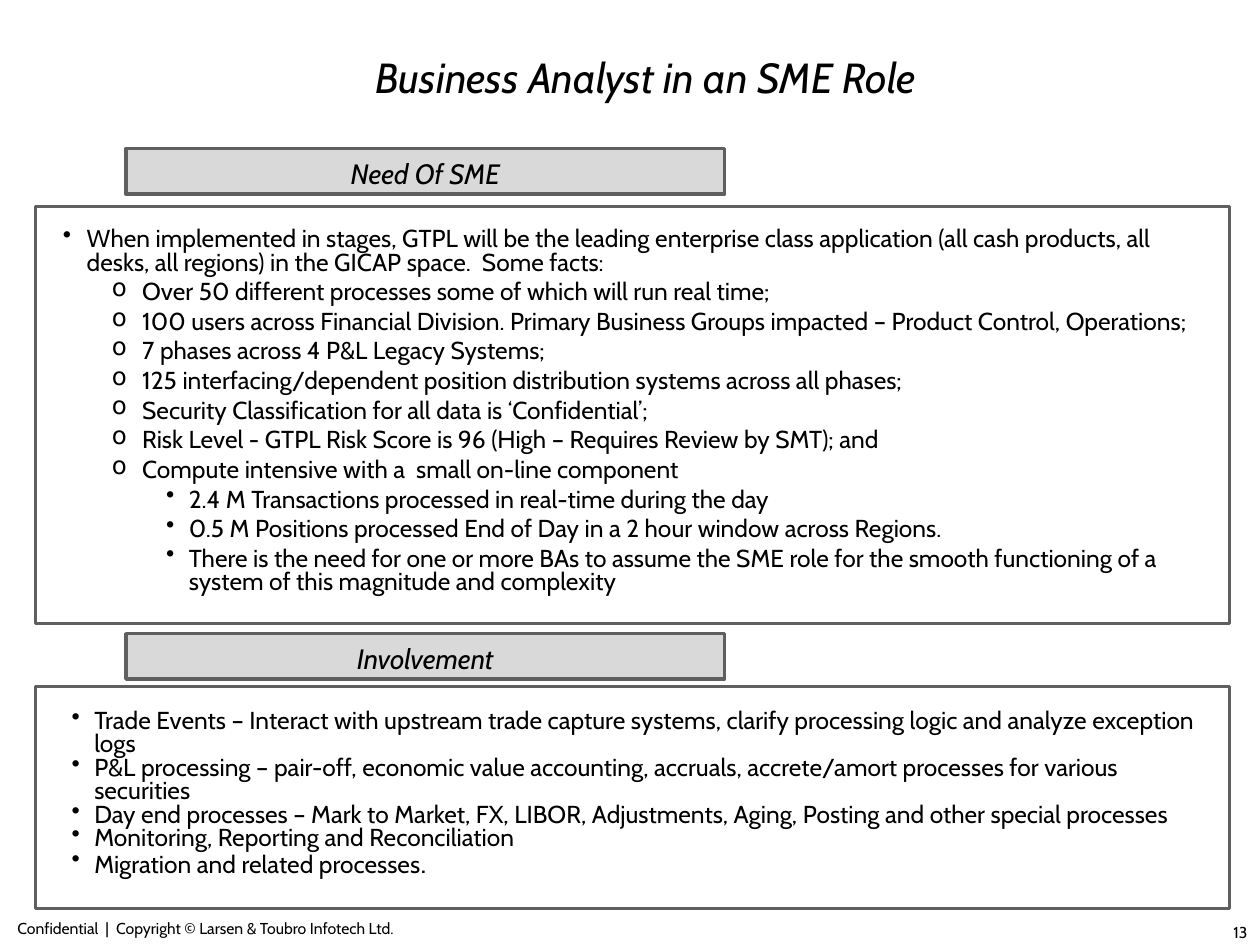
from dataclasses import dataclass

from lxml import etree
from pptx import Presentation
from pptx import util as u
from pptx.dml.color import RGBColor
from pptx.enum import shapes, text
from pptx.oxml.ns import qn

PX = 9144  # 100 px to the inch
FONT = "Cabin"
BLACK, GREY, LIGHT_GREY = "000000", "5F5F5F", "D9D9D9"


@dataclass(frozen=True)
class Box:
    left: int
    top: int
    width: int
    height: int


@dataclass(frozen=True)
class Bullet:
    level: int
    margin: int
    hanging: int
    symbol: str = "•"


@dataclass(frozen=True)
class Section:
    heading: str
    heading_box: Box
    body_box: Box
    space_before: float
    items: list[tuple[Bullet, str]]


LEAD = Bullet(1, 31, 19)
FACT = Bullet(3, 75, 24, "o")
DETAIL = Bullet(4, 112, 18)
TASK = Bullet(2, 37, 18)

FACTS = [
    "Over 50 different processes some of which will run real time;",
    "100 users across Financial Division. Primary Business Groups impacted – Product Control, Operations;",
    "7 phases across 4 P&L Legacy Systems;",
    "125 interfacing/dependent position distribution systems across all phases;",
    "Security Classification for all data is ‘Confidential’;",
    "Risk Level - GTPL Risk Score is 96 (High – Requires Review by SMT); and",
    "Compute intensive with a  small on-line component",
]
DETAILS = [
    "2.4 M Transactions processed in real-time during the day",
    "0.5 M Positions processed End of Day in a 2 hour window across Regions.",
    "There is the need for one or more BAs to assume the SME role for the smooth "
    "functioning of a system of this magnitude and complexity",
]
TASKS = [
    "Trade Events – Interact with upstream trade capture systems, clarify processing "
    "logic and analyze exception logs",
    "P&L processing – pair-off, economic value accounting, accruals, accrete/amort "
    "processes for various securities",
    "Day end processes – Mark to Market, FX, LIBOR, Adjustments, Aging, Posting and "
    "other special processes",
    "Monitoring, Reporting and Reconciliation",
    "Migration and related processes",
]
SECTIONS = [
    Section(
        "Need Of SME", Box(100, 118, 475, 36), Box(28, 164, 948, 331), 3.5,
        [(LEAD, "When implemented in stages, GTPL will be the leading enterprise class "
                "application (all cash products, all desks, all regions) in the GICAP "
                "space.  Some facts:")]
        + [(FACT, fact) for fact in FACTS]
        + [(DETAIL, detail) for detail in DETAILS],
    ),
    Section(
        "Involvement", Box(100, 503, 475, 36), Box(28, 545, 948, 176), 0,
        [(TASK, task) for task in TASKS],
    ),
]


def color(value: str) -> RGBColor:
    return RGBColor.from_string(value)


def place(box: Box) -> tuple[int, int, int, int]:
    return box.left * PX, box.top * PX, box.width * PX, box.height * PX


def style(run, size: float, italic: bool = False) -> None:
    run.font.name = FONT
    run.font.size = u.Pt(size)
    run.font.italic = italic
    run.font.color.rgb = color(BLACK)


def set_text(shape, words: str, size: float, align, italic: bool = False):
    shape.text_frame.word_wrap = True
    paragraph = shape.text_frame.paragraphs[0]
    paragraph.text = words
    paragraph.alignment = align
    style(paragraph.runs[0], size, italic)
    return paragraph


def add_title(slide, words: str, box: Box) -> None:
    title = slide.shapes.title
    title.left, title.top, title.width, title.height = place(box)
    title.text_frame.auto_size = text.MSO_AUTO_SIZE.NONE
    title.text_frame.vertical_anchor = text.MSO_ANCHOR.TOP
    set_text(title, words, 24, text.PP_ALIGN.LEFT, italic=True)


def add_note(slide, words: str, box: Box, align) -> None:
    set_text(slide.shapes.add_textbox(*place(box)), words, 9, align)


def add_frame(slide, box: Box, line_width: float, fill: str | None = None):
    shape = slide.shapes.add_shape(shapes.MSO_SHAPE.RECTANGLE, *place(box))
    shape.shadow.inherit = False
    if fill:
        shape.fill.solid()
        shape.fill.fore_color.rgb = color(fill)
    else:
        shape.fill.background()
    shape.line.color.rgb = color(GREY)
    shape.line.width = u.Pt(line_width)
    shape.text_frame.word_wrap = True
    shape.text_frame.vertical_anchor = text.MSO_ANCHOR.MIDDLE
    return shape


def set_bullet(paragraph, bullet: Bullet) -> None:
    paragraph.level = bullet.level
    properties = paragraph._p.get_or_add_pPr()
    properties.set("marL", str(bullet.margin * PX))
    properties.set("indent", str(-bullet.hanging * PX))
    bullet_color = etree.SubElement(properties, qn("a:buClr"))
    etree.SubElement(bullet_color, qn("a:srgbClr"), val=BLACK)
    etree.SubElement(properties, qn("a:buChar"), char=bullet.symbol)


def add_section(slide, section: Section) -> None:
    # Heading bar
    heading = add_frame(slide, section.heading_box, 2, LIGHT_GREY)
    paragraph = set_text(heading, section.heading, 16, text.PP_ALIGN.CENTER, italic=True)
    paragraph.line_spacing = 1.1

    # Bulleted body
    frame = add_frame(slide, section.body_box, 1.5).text_frame
    frame.margin_top = 0
    for index, (bullet, words) in enumerate(section.items):
        paragraph = frame.add_paragraph() if index else frame.paragraphs[0]
        paragraph.text = words
        set_bullet(paragraph, bullet)
        paragraph.alignment = text.PP_ALIGN.LEFT
        paragraph.line_spacing = 0.8
        paragraph.space_before = u.Pt(section.space_before if index else 0)
        style(paragraph.runs[0], 14)
    if section.heading == "Involvement":
        # The closing full stop is larger than the rest
        stop = paragraph.add_run()
        stop.text = "."
        style(stop, 16)


def main() -> None:
    presentation = Presentation()
    presentation.slide_width, presentation.slide_height = 1000 * PX, 750 * PX
    slide = presentation.slides.add_slide(presentation.slide_layouts[5])

    add_title(slide, "Business Analyst in an SME Role", Box(288, 36, 680, 73))

    # Footer
    add_note(slide, "Confidential  |  Copyright © Larsen & Toubro Infotech Ltd.",
             Box(4, 724, 432, 22), text.PP_ALIGN.LEFT)
    add_note(slide, "13", Box(767, 727, 233, 52), text.PP_ALIGN.RIGHT)

    for section in SECTIONS:
        add_section(slide, section)

    presentation.save("out.pptx")


if __name__ == "__main__":
    main()
